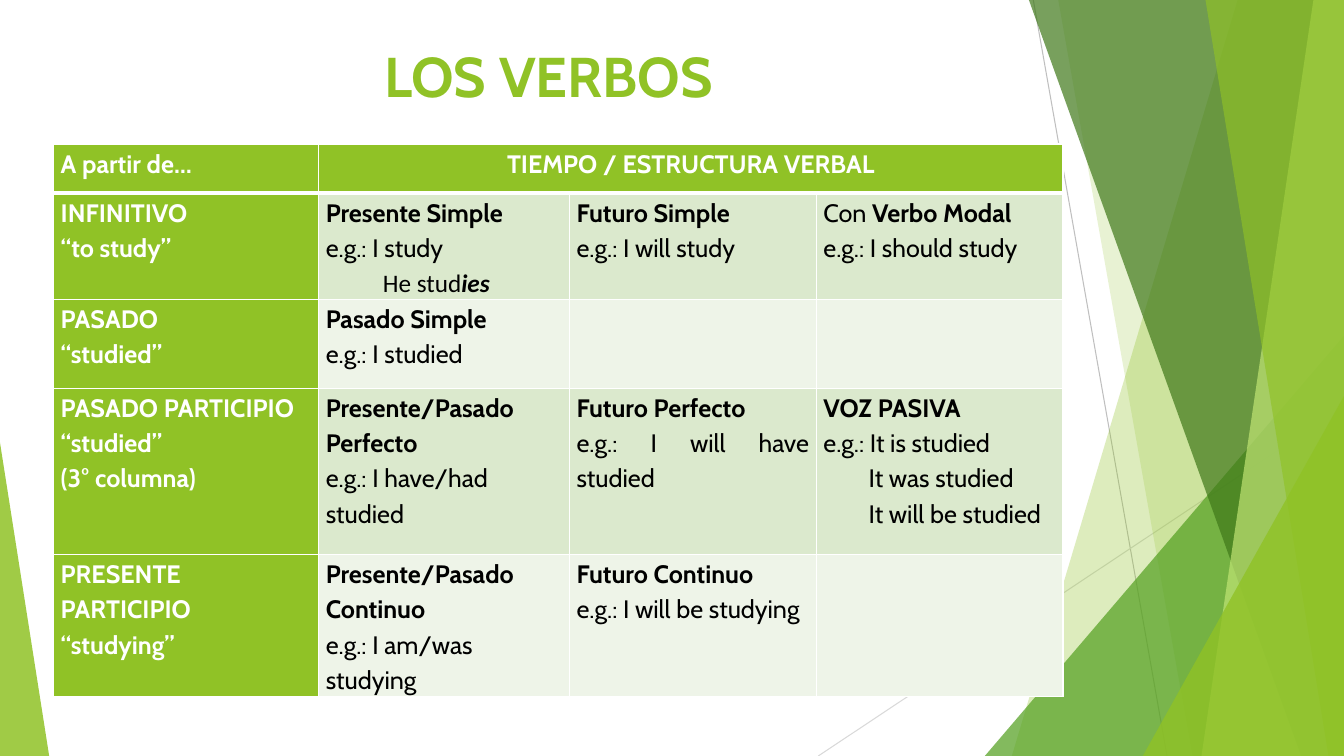
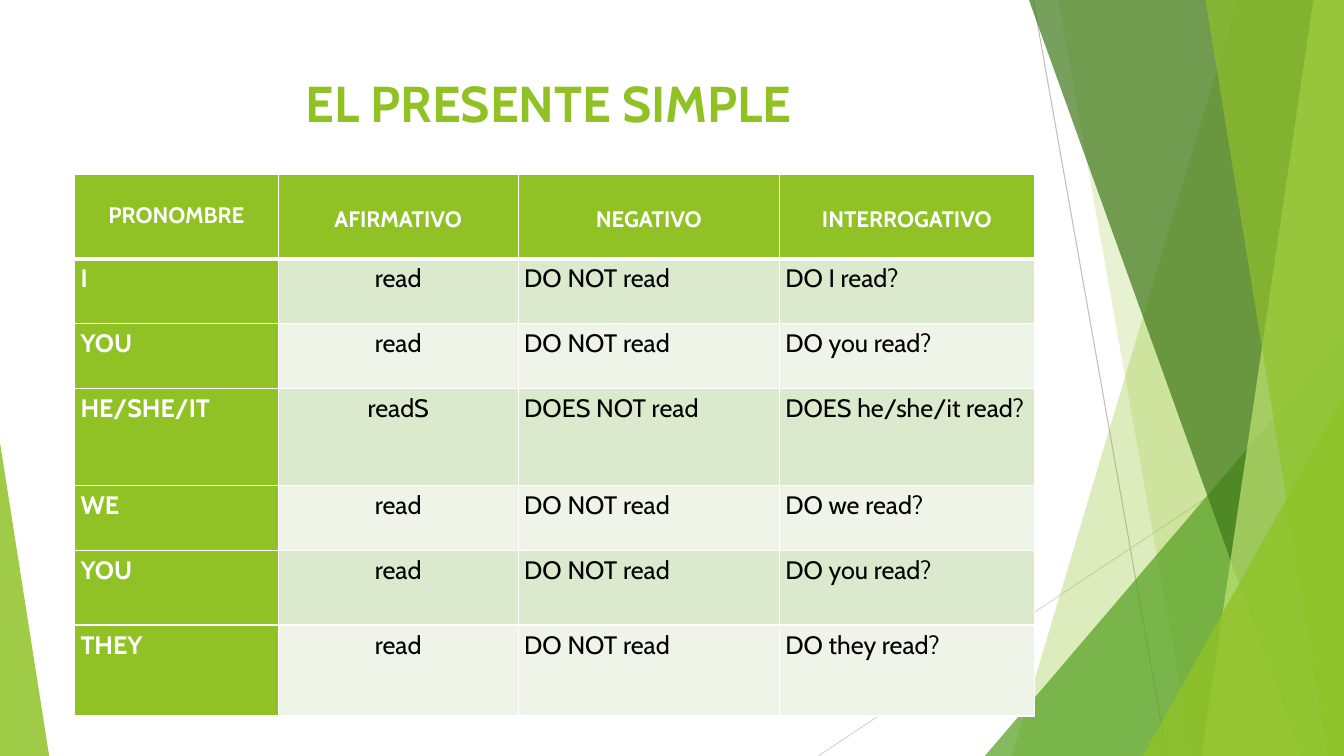
"""Build two slides on verb tenses: a table of verb forms and the simple present."""
from dataclasses import dataclass
from typing import NamedTuple

from lxml.etree import SubElement
from pptx import Presentation
from pptx.dml.color import RGBColor
from pptx.enum.shapes import MSO_CONNECTOR, MSO_SHAPE
from pptx.enum.text import MSO_ANCHOR, PP_ALIGN
from pptx.oxml.ns import qn
from pptx.util import Cm, Pt


@dataclass(frozen=True)
class Theme:
    lime: str = "90C226"
    leaf: str = "54A021"
    moss: str = "3F7819"
    pale: str = "C0E474"
    band: str = "DBE9CD"
    mist: str = "EEF4E8"
    white: str = "FFFFFF"
    black: str = "000000"
    silver: str = "BFBFBF"
    ash: str = "D9D9D9"
    face: str = "Cabin"
    alt: str = "Calibri"
    body: int = 18
    small: int = 16
    thin: int = 1
    thick: int = 3


class Line(NamedTuple):
    runs: list
    align: PP_ALIGN = None
    indent: float = 0
    face: str = Theme.face


def add_run(para, text, size, color, face=Theme.face, bold=False, italic=False):
    run = para.add_run()
    run.text = text
    font = run.font
    font.name, font.size = face, Pt(size)
    font.bold, font.italic = bold, italic
    font.color.rgb = RGBColor.from_string(color)


def set_edges(cell, row):
    props = cell._tc.get_or_add_tcPr()
    for side in "LRTB":
        heavy = (row, side) in ((0, "B"), (1, "T"))
        width = Pt(look.thick if heavy else look.thin)
        edge = SubElement(props, qn(f"a:ln{side}"), w=str(width))
        fill = SubElement(edge, qn("a:solidFill"))
        SubElement(fill, qn("a:srgbClr"), val=look.white)


look = Theme()
LEFT, MID, JUST = PP_ALIGN.LEFT, PP_ALIGN.CENTER, PP_ALIGN.JUSTIFY
WIDE, HIGH = 33.87, 19.05

verbs = [
    [["A partir de…"], ["TIEMPO / ESTRUCTURA VERBAL"], [], []],
    [
        ["INFINITIVO", "“to study”"],
        [
            "Presente Simple",
            "e.g.: I study",
            Line([("He stud", ""), ("ies", "bi")], indent=1.44, face=look.alt),
        ],
        ["Futuro Simple", "e.g.: I will study"],
        [Line([("Con ", ""), ("Verbo Modal", "b")]), "e.g.: I should study"],
    ],
    [["PASADO", "“studied”"], ["Pasado Simple", "e.g.: I studied"], [], []],
    [
        ["PASADO PARTICIPIO", "“studied”", "(3° columna)"],
        ["Presente/Pasado Perfecto", Line([("e.g.: I have/had studied", "")], LEFT)],
        ["Futuro Perfecto", "e.g.: I will have studied"],
        [
            "VOZ PASIVA",
            "e.g.: It is studied",
            Line([("It was studied", "")], indent=1.14),
            Line([("It will be studied", "")], indent=1.14),
        ],
    ],
    [
        ["PRESENTE PARTICIPIO", "“studying”"],
        ["Presente/Pasado Continuo", Line([("e.g.: I am/was studying", "")], LEFT)],
        ["Futuro Continuo", "e.g.: I will be studying"],
        [],
    ],
]

forms = [[["PRONOMBRE"], ["AFIRMATIVO"], ["NEGATIVO"], ["INTERROGATIVO"]]]
for noun in ("I", "YOU", "HE/SHE/IT", "WE", "YOU", "THEY"):
    third = noun == "HE/SHE/IT"
    aid = "DOES" if third else "DO"
    asked = noun if noun == "I" else noun.lower()
    forms.append([
        [noun],
        ["readS" if third else "read"],
        [f"{aid} NOT read"],
        [f"{aid} {asked} read?"],
    ])

deck = [
    dict(
        title="LOS VERBOS", size=40, top=0.91, high=2.69,
        at=(1.35, 3.63), data=verbs, lead=True, span=True,
        cols=[6.68, 6.32, 6.22, 6.22], rows=[1.24, 2.62, 2.24, 4.19, 3.58],
        head=[JUST, MID, MID, MID], body=[JUST] * 4,
        inset=0.18, drop=[0] * 4, type=look.body, gap=1.15,
    ),
    dict(
        title="EL PRESENTE SIMPLE", size=36, top=1.7, high=1.93,
        at=(1.88, 4.39), data=forms, lead=False, span=False,
        cols=[5.13, 6.05, 6.58, 6.43],
        rows=[2.13, 1.63, 1.63, 2.46, 1.63, 1.88, 2.29],
        head=[MID] * 4, body=[LEFT, MID, LEFT, LEFT],
        inset=0.15, drop=[0.69, 0.79, 0.79, 0.79], type=look.small, gap=1,
    ),
]

prs = Presentation()
prs.slide_width, prs.slide_height = Cm(WIDE), Cm(HIGH)
base = prs.slide_layouts[5]
slides = [prs.slides.add_slide(base) for page in deck]

decor = []
pen = slides[0].shapes
for ends, color in (
    ((26.04, 0, 29.41, HIGH), look.silver),
    ((WIDE, 10.24, 20.62, HIGH), look.ash),
):
    rule = pen.add_connector(MSO_CONNECTOR.STRAIGHT, *[Cm(end) for end in ends])
    rule.line.color.rgb = RGBColor.from_string(color)
    rule.line.width = Pt(0.75)
    SubElement(rule.element.spPr, qn("a:effectLst"))
    decor.append(rule)

for color, alpha, dims in (
    (look.lime, 30, (31.19, 25.5)),
    (look.lime, 20, (26.67, 30.05)),
    (look.leaf, 72, (24.82, 8.46, 9.05, 1)),
    (look.moss, 70, (25.93, 32.79)),
    (look.pale, 70, (33.1, 30.28)),
    (look.lime, 65, (30.38, 33.48)),
    (look.lime, 80, (28.8, 9.98, 5.07, 1)),
    (look.lime, 85, (0, 11.15, 1.24, 0)),
):
    if len(dims) == 2:
        top, foot = dims
        path = pen.build_freeform(Cm(top), 0)
        turns = ((WIDE, 0), (WIDE, HIGH), (foot, HIGH))
        path.add_line_segments([(Cm(x), Cm(y)) for x, y in turns], close=True)
        shard = path.convert_to_shape()
    else:
        x, y, wide, peak = dims
        shard = pen.add_shape(
            MSO_SHAPE.ISOSCELES_TRIANGLE, Cm(x), Cm(y), Cm(wide), Cm(HIGH - y)
        )
        shard.adjustments[0] = peak
    shard.shadow.inherit = False
    shard.line.fill.background()
    shard.fill.solid()
    shard.fill.fore_color.rgb = RGBColor.from_string(color)
    tint = shard.element.spPr.find(f".//{qn('a:srgbClr')}")
    SubElement(tint, qn("a:alpha"), val=str(alpha * 1000))
    decor.append(shard)

for num, part in enumerate(decor, 20):
    part.element.find(f".//{qn('p:cNvPr')}").set("id", str(num))
    base.shapes.element.append(part.element)

for slide, page in zip(slides, deck):
    title = slide.shapes.title
    title.left, title.top = Cm(1.88), Cm(page["top"])
    title.width, title.height = Cm(23.88), Cm(page["high"])
    frame = title.text_frame
    frame.word_wrap = True
    frame.vertical_anchor = MSO_ANCHOR.TOP
    para = frame.paragraphs[0]
    para.alignment = MID
    add_run(para, page["title"], page["size"], look.lime, bold=True)

    cols, rows = page["cols"], page["rows"]
    left, top = page["at"]
    table = slide.shapes.add_table(
        len(rows), len(cols), Cm(left), Cm(top), Cm(sum(cols)), Cm(sum(rows))
    ).table
    table.first_row = table.horz_banding = False
    for col, wide in zip(table.columns, cols):
        col.width = Cm(wide)
    for row, high in zip(table.rows, rows):
        row.height = Cm(high)
    if page["span"]:
        table.cell(0, 1).merge(table.cell(0, len(cols) - 1))

    for r, row in enumerate(page["data"]):
        for c, lines in enumerate(row):
            cell = table.cell(r, c)
            label = r == 0 or c == 0
            set_edges(cell, r)
            cell.fill.solid()
            shade = look.lime if label else look.band if r % 2 else look.mist
            cell.fill.fore_color.rgb = RGBColor.from_string(shade)
            cell.margin_left = cell.margin_right = Cm(page["inset"])
            cell.margin_top = Cm(0 if r else page["drop"][c])
            cell.margin_bottom = 0
            ink = look.white if label else look.black
            size = look.body if r else page["type"]
            for n, line in enumerate(lines):
                if isinstance(line, str):
                    bold = label or (page["lead"] and n == 0)
                    line = Line([(line, "b" if bold else "")])
                frame = cell.text_frame
                para = frame.add_paragraph() if n else frame.paragraphs[0]
                para.alignment = line.align or page["body" if r else "head"][c]
                para.line_spacing = 1.15 if r else page["gap"]
                if line.indent:
                    para._p.get_or_add_pPr().set("marL", str(Cm(line.indent)))
                for text, style in line.runs:
                    add_run(para, text, size, ink, line.face, "b" in style, "i" in style)

prs.save("out.pptx")
